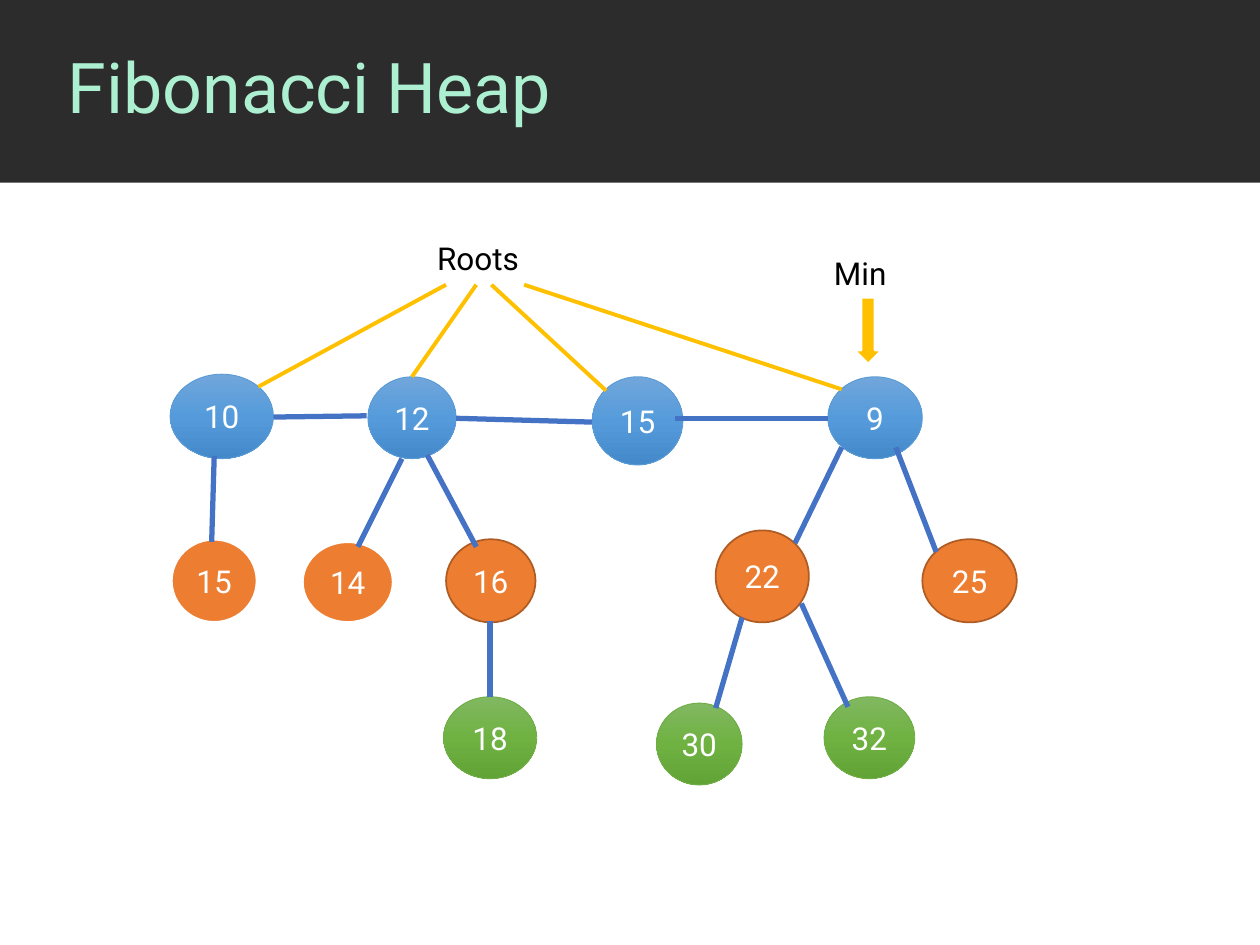
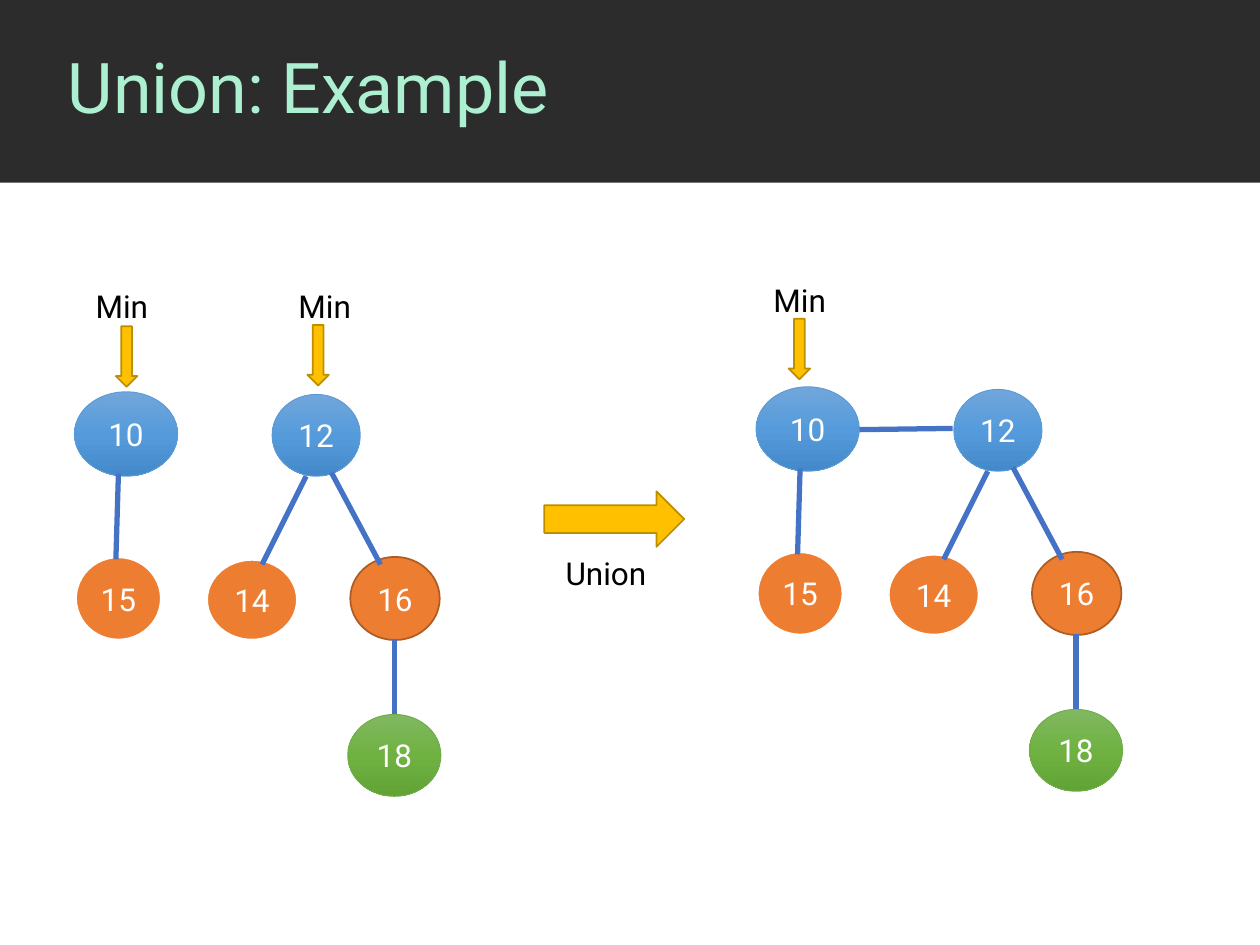
from copy import deepcopy

from pptx import Presentation
from pptx.dml.color import RGBColor
from pptx.enum.shapes import MSO_CONNECTOR, MSO_SHAPE as Shape
from pptx.enum.text import MSO_ANCHOR as Anchor, MSO_AUTO_SIZE as AutoSize, PP_ALIGN as Align
from pptx.oxml.ns import qn
from pptx.oxml.xmlchemy import OxmlElement
from pptx.util import Pt

PX = 9144  # 100 px to the inch
FONT = "Roboto"
COLORS = {
    "band": "2C2C2C", "title": "ADF0D1", "label": "000000", "white": "FFFFFF",
    "edge": "4472C4", "gold": "FFC000", "gold_line": "BD8E00",
    "orange": "ED7D31", "orange_line": "AF5C24",
    "blue_line": "5B9BD5", "green_line": "70AD47",
}
GRADIENTS = {
    "blue": ("71A6DB", "559BDB", "448ACA"),
    "green": ("81B861", "6FB242", "62A336"),
}
# level: fill, line colour, line width
LEVELS = {
    "root": ("blue", "blue_line", 0.5),
    "child": ("orange", "orange_line", 1),
    "plain child": ("orange", "white", 1.5),
    "leaf": ("green", "green_line", 0.5),
}

# Nodes: key, level, left, top, width, height; edges: x1, y1, x2, y2
SMALL_HEAPS = {
    "nodes": [
        ("10", "root", 135, 297, 82, 67),
        ("12", "root", 292, 299, 70, 65),
        ("15", "plain child", 136, 428, 68, 66),
        ("14", "plain child", 240, 430, 72, 64),
        ("16", "child", 354, 428, 71, 66),
        ("18", "leaf", 352, 553, 74, 65),
    ],
    "edges": [
        (170, 362, 168, 430),
        (319, 364, 284, 434),
        (339, 361, 378, 434),
        (389, 493, 389, 553),
    ],
}
ROOT_LINK = {"nodes": [], "edges": [(291, 330, 217, 331)]}
LARGE_HEAPS = {
    "nodes": [
        ("15", "root", 470, 299, 72, 70),
        ("9", "root", 657, 299, 75, 65),
        ("22", "child", 568, 421, 74, 73),
        ("25", "child", 732, 428, 75, 66),
        ("30", "leaf", 521, 558, 68, 65),
        ("32", "leaf", 654, 553, 72, 65),
    ],
    "edges": [
        (470, 335, 362, 332),
        (657, 332, 536, 332),
        (668, 355, 631, 431),
        (711, 355, 743, 438),
        (589, 490, 568, 562),
        (636, 479, 673, 561),
    ],
}
ROOT_POINTERS = [
    (354, 226, 205, 307),
    (378, 226, 327, 299),
    (390, 226, 481, 310),
    (416, 226, 668, 309),
]
LEFT, RIGHT = (-76, 14), (465, 10)

# heaps: group, offset; labels: text, box; arrows: preset, box, line colour, width
SLIDES = [
    {
        "title": "Fibonacci Heap",
        "heaps": [(SMALL_HEAPS, (0, 0)), (ROOT_LINK, (0, 0)), (LARGE_HEAPS, (0, 0))],
        "pointers": ROOT_POINTERS,
        "labels": [("Roots", (337, 185, 105, 41)), ("Min", (652, 197, 105, 41))],
        "arrows": [(Shape.DOWN_ARROW, (678, 236, 22, 53), "white", 1.5)],
    },
    {
        "title": "Union: Example",
        "heaps": [(SMALL_HEAPS, LEFT), (SMALL_HEAPS, RIGHT), (ROOT_LINK, RIGHT)],
        "pointers": [],
        "labels": [
            ("Min", (66, 223, 75, 41)),
            ("Min", (227, 223, 75, 41)),
            ("Min", (604, 218, 75, 41)),
            ("Union", (439, 435, 98, 40)),
        ],
        "arrows": [
            (Shape.DOWN_ARROW, (92, 259, 17, 48), "gold_line", 1),
            (Shape.DOWN_ARROW, (244, 258, 17, 48), "gold_line", 1),
            (Shape.DOWN_ARROW, (626, 253, 17, 48), "gold_line", 1),
            (Shape.RIGHT_ARROW, (432, 390, 111, 44), "gold_line", 1),
        ],
    },
]


def emu(lengths):
    return [length * PX for length in lengths]


def rgb(name):
    return RGBColor.from_string(COLORS[name])


def write(shape, text, size, color, align=Align.LEFT):
    frame = shape.text_frame
    frame.text = text
    frame.word_wrap = True
    paragraph = frame.paragraphs[0]
    paragraph.alignment = align
    font = paragraph.runs[0].font
    font.name, font.size = FONT, Pt(size)
    font.color.rgb = rgb(color)
    return frame


def fill_gradient(shape, stops):
    shape.fill.gradient()
    shape.fill.gradient_angle = 270
    stop_list = shape._element.spPr.find(".//" + qn("a:gsLst"))
    stop_list.insert(1, deepcopy(stop_list[0]))
    for index, (stop, color) in enumerate(zip(shape.fill.gradient_stops, stops)):
        stop.position = index / 2
        stop.color.rgb = RGBColor.from_string(color)


def add_filled(slide, preset, box, fill, line=None, width=0):
    shape = slide.shapes.add_shape(preset, *emu(box))
    shape.shadow.inherit = False
    if fill in GRADIENTS:
        fill_gradient(shape, GRADIENTS[fill])
    else:
        shape.fill.solid()
        shape.fill.fore_color.rgb = rgb(fill)
    if line:
        shape.line.color.rgb = rgb(line)
        shape.line.width = Pt(width)
    else:
        shape.line.fill.background()
    return shape


def add_line(slide, ends, color, width):
    line = slide.shapes.add_connector(MSO_CONNECTOR.STRAIGHT, *emu(ends))
    line.line.color.rgb = rgb(color)
    line.line.width = Pt(width)
    line._element.spPr.append(OxmlElement("a:effectLst"))


def add_title(slide, text):
    add_filled(slide, Shape.RECTANGLE, (0, 0, 1000, 145), "band")
    title = slide.shapes.add_textbox(*emu((44, 0, 956, 144)))
    frame = write(title, text, 40, "title")
    frame.vertical_anchor = Anchor.MIDDLE
    frame.paragraphs[0].line_spacing = 0.9


def add_heaps(slide, heaps, offset):
    dx, dy = offset
    for key, level, left, top, width, height in heaps["nodes"]:
        node = add_filled(slide, Shape.OVAL, (left + dx, top + dy, width, height), *LEVELS[level])
        frame = write(node, key, 18, "white", Align.CENTER)
        frame.vertical_anchor = Anchor.MIDDLE
        frame.margin_left = frame.margin_right = 0
    for x1, y1, x2, y2 in heaps["edges"]:
        add_line(slide, (x1 + dx, y1 + dy, x2 + dx, y2 + dy), "edge", 3)


def main():
    deck = Presentation()
    deck.slide_width, deck.slide_height = emu((1000, 750))
    for content in SLIDES:
        slide = deck.slides.add_slide(deck.slide_layouts[6])
        add_title(slide, content["title"])
        for heaps, offset in content["heaps"]:
            add_heaps(slide, heaps, offset)
        for ends in content["pointers"]:
            add_line(slide, ends, "gold", 2.25)
        for text, box in content["labels"]:
            label = slide.shapes.add_textbox(*emu(box))
            write(label, text, 18, "label").auto_size = AutoSize.SHAPE_TO_FIT_TEXT
        for preset, box, line, width in content["arrows"]:
            add_filled(slide, preset, box, "gold", line, width)
    deck.save("out.pptx")


if __name__ == "__main__":
    main()
